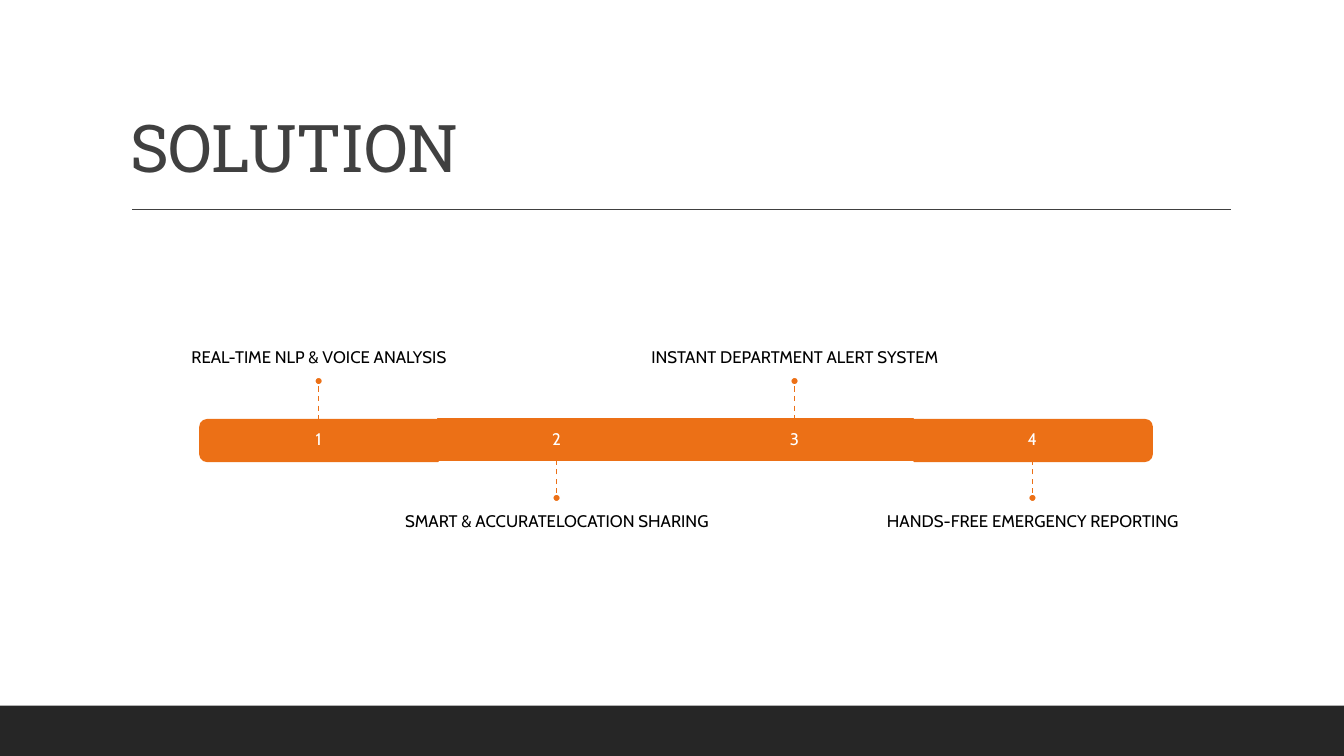
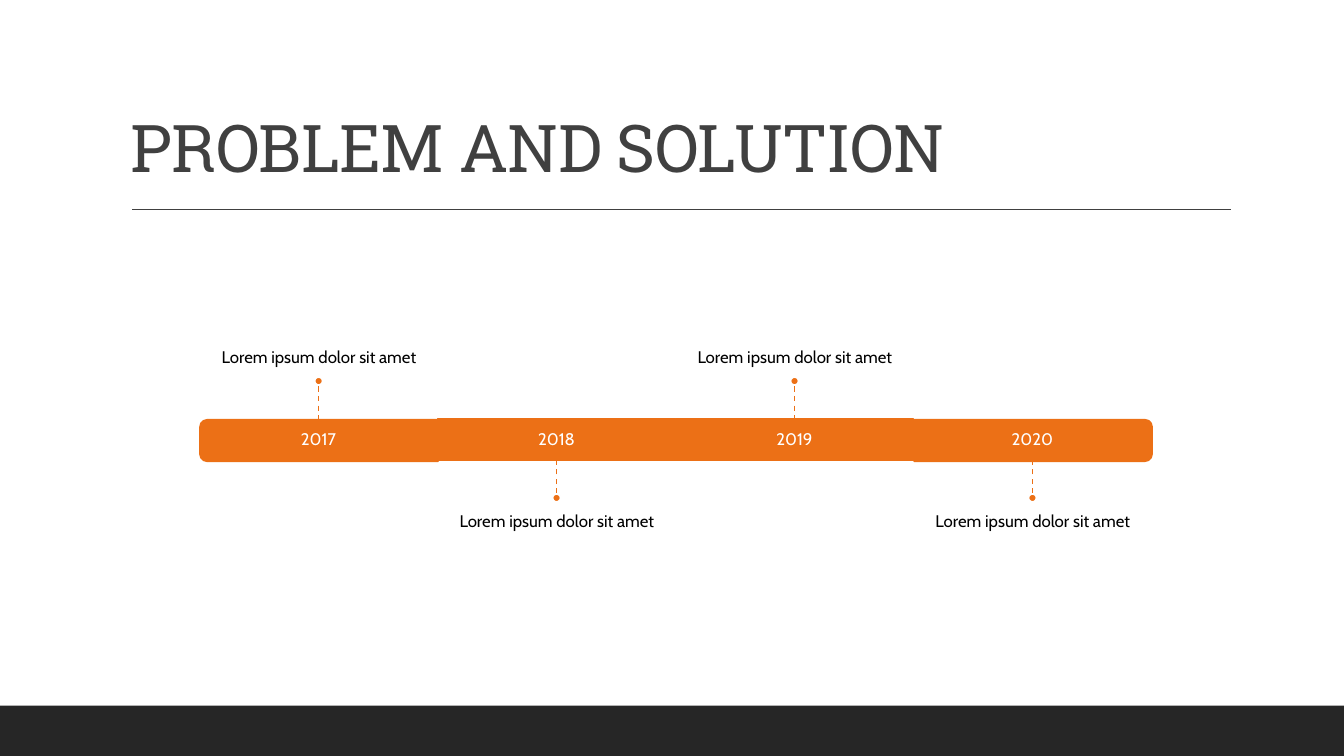
from lxml.etree import SubElement as Sub
from pptx import Presentation as Deck
from pptx.dml.color import RGBColor as Rgb
from pptx.enum.dml import MSO_LINE as Dash
from pptx.enum.shapes import MSO_CONNECTOR as Link, MSO_SHAPE as Kind
from pptx.enum.text import MSO_ANCHOR as Anchor, PP_ALIGN as Align
from pptx.oxml.ns import qn
from pptx.util import Pt

HUES = {"ink": "404040", "band": "262626", "bar": "EC7016", "white": "FFFFFF", "black": "000000"}
WIDE, HIGH = 1333, 750
LEFT, TOP, STEP, THICK, STEM, DOT = 198, 416, 236, 41, 33, 8
LABEL_W, LABEL_H = 393, 145


def px(num):
    """Turn px, at 100 to the inch, into EMU."""
    return num * 9144


def hue(name):
    """Give the named colour."""
    return Rgb.from_string(HUES[name])


def put(item, vals):
    """Set each format value on an item."""
    for key, val in vals.items():
        setattr(item, key, val)


class Pen:
    """Hold the style and the current slide, and draw each kind of element."""

    def __init__(self):
        """Start an empty deck."""
        self.deck = Deck()
        put(self.deck, {"slide_width": px(WIDE), "slide_height": px(HIGH)})

    def page(self, title):
        """Add a slide with its band, rule and title."""
        self.shapes = self.deck.slides.add_slide(self.deck.slide_layouts[6]).shapes
        self.shape(Kind.RECTANGLE, (0, 700, WIDE, 50), "band")
        self.line((131, 208), (1221, 208), "ink")
        run = self.text(title, (120, 31, 1100, 159), "ink", Anchor.BOTTOM, (10, 5, 10, 5),
                        size=47, face="Roboto Slab", align=Align.LEFT)
        run.font._element.set("spc", "-50")

    def shape(self, kind, box, fill, edge=None, turn=0):
        """Draw a filled preset shape."""
        form = self.shapes.add_shape(kind, *map(px, box))
        form.shadow.inherit = False
        form.rotation = turn
        form.fill.solid()
        form.fill.fore_color.rgb = hue(fill)
        if edge:
            form.line.color.rgb = hue(edge)
            form.line.width = Pt(1.25)
        else:
            form.line.fill.background()
        return form

    def line(self, start, end, color, dash=None):
        """Draw a straight line."""
        link = self.shapes.add_connector(Link.STRAIGHT, *map(px, start + end))
        link.line.color.rgb = hue(color)
        put(link.line, {"width": Pt(1), "dash_style": dash})
        Sub(link._element.spPr, qn("a:effectLst"))
        return link

    def text(self, words, box, color, anchor, pad, size=12, face="Cabin", align=Align.CENTER):
        """Write one paragraph in a box."""
        frame = self.shapes.add_textbox(*map(px, box)).text_frame
        sides = ("margin_left", "margin_top", "margin_right", "margin_bottom")
        put(frame, {"word_wrap": True, "vertical_anchor": anchor, **dict(zip(sides, map(px, pad)))})
        para = frame.paragraphs[0]
        put(para, {"alignment": align, "line_spacing": 0.9})
        run = para.add_run()
        run.text = words
        put(run.font, {"size": Pt(size), "name": face})
        run.font.color.rgb = hue(color)
        return run

    def bar(self, mid, turn):
        """Draw one part of the bar, with round outer corners if turned."""
        if turn:
            box = (mid - THICK // 2, TOP + (THICK + 1) // 2 - STEP // 2, THICK, STEP)
            return self.shape(Kind.ROUND_2_SAME_RECTANGLE, box, "bar", "bar", turn)
        return self.shape(Kind.RECTANGLE, (mid - STEP // 2, TOP, STEP, THICK), "bar", "bar")

    def step(self, spot, mark, note, turn):
        """Draw a part of the bar with its mark, note, stem and dot."""
        x = LEFT + spot * STEP
        mid = x + STEP // 2
        part = self.bar(mid, turn)
        self.text(mark, (x, TOP, STEP, THICK), "white", Anchor.MIDDLE, (10,) * 4)
        if spot % 2:
            root, tip = TOP + THICK, TOP + THICK + STEM
            dot, note_y, anchor, pad, side = tip, tip + 9, Anchor.TOP, (0, 10, 0, 0), 2
        else:
            root, tip = TOP, TOP - STEM
            dot, note_y, anchor, pad, side = tip - 9, tip - 9 - LABEL_H, Anchor.BOTTOM, (0, 0, 0, 10), 0
        self.text(note, (mid - LABEL_W // 2, note_y, LABEL_W, LABEL_H), "black", anchor, pad)
        stem = self.line((mid, tip), (mid, root), "bar", Dash.DASH)
        if not turn:
            stem.end_connect(part, side)
        self.shape(Kind.OVAL, (mid - DOT // 2, dot, DOT, DOT), "bar", "white")

    def chain(self, steps):
        """Draw the whole timeline."""
        turns = {0: 270, len(steps) - 1: 90}
        for spot, (mark, note) in enumerate(steps):
            self.step(spot, mark, note, turns.get(spot, 0))


def main():
    """Build and save the deck."""
    pen = Pen()
    pen.page("SOLUTION")
    pen.chain([
        ("1", "REAL-TIME NLP & VOICE ANALYSIS"),
        ("2", "SMART & ACCURATELOCATION SHARING"),
        ("3", "INSTANT DEPARTMENT ALERT SYSTEM"),
        ("4", "HANDS-FREE EMERGENCY REPORTING"),
    ])
    pen.page("PROBLEM AND SOLUTION")
    pen.chain([(str(year), "Lorem ipsum dolor sit amet") for year in range(2017, 2021)])
    pen.deck.save("out.pptx")


if __name__ == "__main__":
    main()
